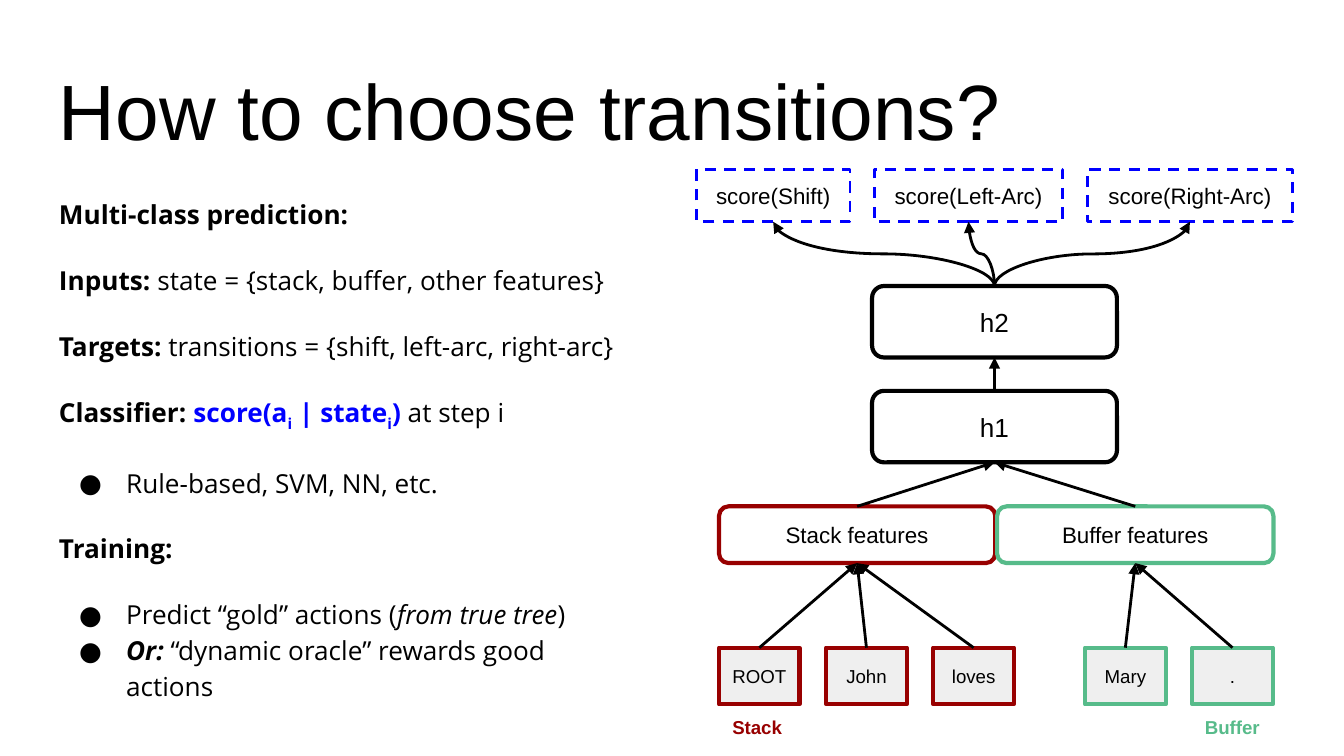
from dataclasses import dataclass
from typing import NamedTuple

from lxml.etree import SubElement
from pptx import Presentation
from pptx.dml.color import RGBColor
from pptx.enum.dml import MSO_LINE
from pptx.enum.shapes import MSO_CONNECTOR as Connector, MSO_SHAPE as Shape
from pptx.enum.text import MSO_ANCHOR as Anchor, PP_ALIGN as Align
from pptx.oxml.ns import qn
from pptx.util import Pt

BLACK = RGBColor(0x00, 0x00, 0x00)
BLUE = RGBColor(0x00, 0x00, 0xFF)
RED = RGBColor(0x98, 0x00, 0x00)
GREEN = RGBColor(0x57, 0xBB, 0x8A)
GRAY = RGBColor(0xEF, 0xEF, 0xEF)

HEADING_FONT = "Arial"
BODY_FONT = "Open Sans"
MARGIN = 7.2


class Point(NamedTuple):
    x: float
    y: float


@dataclass(frozen=True)
class Box:
    text: str
    left: float
    top: float
    width: float
    height: float
    color: RGBColor
    size: float
    rounded: bool = False
    dashed: bool = False
    fill: RGBColor | None = None

    @property
    def top_center(self) -> Point:
        return Point(self.left + self.width / 2, self.top)

    @property
    def bottom_center(self) -> Point:
        return Point(self.left + self.width / 2, self.top + self.height)


@dataclass(frozen=True)
class Run:
    text: str
    bold: bool = False
    italic: bool = False
    subscript: bool = False
    color: RGBColor = BLACK


@dataclass(frozen=True)
class Line:
    runs: tuple[Run, ...]
    space_before: float = 16
    bullet: bool = False


def token(text: str, left: float, color: RGBColor) -> Box:
    return Box(text, left, 347, 43.2, 30.4, color, 10, fill=GRAY)


def features(text: str, left: float, color: RGBColor) -> Box:
    return Box(text, left, 271.3, 148, 30.4, color, 12, rounded=True)


def hidden_layer(text: str, top: float) -> Box:
    return Box(text, 467.2, top, 131.2, 38.3, BLACK, 14, rounded=True)


def score(action: str, left: float, width: float) -> Box:
    return Box(f"score({action})", left, 90.8, width, 28, BLUE, 12, dashed=True)


LEFT, RIGHT, PITCH = 385.2, 638.7, 57.4
STACK = [token(word, LEFT + i * PITCH, RED) for i, word in enumerate(("ROOT", "John", "loves"))]
BUFFER = [token(word, RIGHT - i * PITCH, GREEN) for i, word in enumerate((".", "Mary"))]
STACK_FEATURES = features("Stack features", LEFT, RED)
BUFFER_FEATURES = features("Buffer features", 534.2, GREEN)
H1 = hidden_layer("h1", 209.4)
H2 = hidden_layer("h2", 153.2)
SCORES = [score("Shift", 373.1, 82.3), score("Left-Arc", 468.4, 101),
          score("Right-Arc", 582.5, 110)]

BODY = [
    Line((Run("Multi-class prediction:", bold=True),), space_before=0),
    Line((Run("Inputs:", bold=True), Run(" state = {stack, buffer, other features}"))),
    Line((Run("Targets:", bold=True), Run(" transitions = {shift, left-arc, right-arc}"))),
    Line((
        Run("Classifier: ", bold=True),
        Run("score(a", bold=True, color=BLUE),
        Run("i", bold=True, subscript=True, color=BLUE),
        Run(" | state", bold=True, color=BLUE),
        Run("i", bold=True, subscript=True, color=BLUE),
        Run(")", bold=True, color=BLUE),
        Run(" at step i"),
    )),
    Line((Run("Rule-based, SVM, NN, etc."),), bullet=True),
    Line((Run("Training:", bold=True),)),
    Line((Run("Predict “gold” actions ("), Run("from true tree", italic=True), Run(")")),
         bullet=True),
    Line((Run("Or: ", bold=True, italic=True), Run("“dynamic oracle” rewards good actions")),
         space_before=0, bullet=True),
]


def prepare_frame(frame, anchor: Anchor) -> None:
    frame.word_wrap = True
    frame.vertical_anchor = anchor
    frame.margin_left = frame.margin_right = Pt(MARGIN)
    frame.margin_top = frame.margin_bottom = Pt(MARGIN)


def set_text(frame, text: str, size: float, color: RGBColor, align: Align,
             bold: bool = False) -> None:
    paragraph = frame.paragraphs[0]
    paragraph.text = text
    paragraph.alignment = align
    font = paragraph.font
    font.name, font.size, font.bold = HEADING_FONT, Pt(size), bold
    font.color.rgb = color


def add_frame(slide, left: float, top: float, width: float, height: float,
              anchor: Anchor = Anchor.TOP):
    frame = slide.shapes.add_textbox(Pt(left), Pt(top), Pt(width), Pt(height)).text_frame
    prepare_frame(frame, anchor)
    return frame


def add_bullet(paragraph) -> None:
    properties = paragraph._p.get_or_add_pPr()
    properties.set("marL", str(Pt(36)))
    properties.set("indent", str(Pt(-25.2)))
    color = SubElement(properties, qn("a:buClr"))
    SubElement(color, qn("a:srgbClr"), val=str(BLACK))
    SubElement(properties, qn("a:buFont"), typeface=BODY_FONT)
    SubElement(properties, qn("a:buChar"), char="●")


def add_body(slide) -> None:
    frame = add_frame(slide, 24.5, 96.6, 314.8, 264)
    for index, line in enumerate(BODY):
        paragraph = frame.add_paragraph() if index else frame.paragraphs[0]
        paragraph.line_spacing = 1.15
        paragraph.space_before = Pt(line.space_before)
        if line.bullet:
            add_bullet(paragraph)
        paragraph.font.name, paragraph.font.size = BODY_FONT, Pt(14)
        for part in line.runs:
            run = paragraph.add_run()
            run.text = part.text
            run.font.bold, run.font.italic = part.bold, part.italic
            run.font.color.rgb = part.color
            if part.subscript:
                run.font._element.set("baseline", "-25000")


def add_box(slide, box: Box) -> None:
    kind = Shape.ROUNDED_RECTANGLE if box.rounded else Shape.RECTANGLE
    shape = slide.shapes.add_shape(kind, Pt(box.left), Pt(box.top), Pt(box.width), Pt(box.height))
    shape.shadow.inherit = False
    if box.fill is None:
        shape.fill.background()
    else:
        shape.fill.solid()
        shape.fill.fore_color.rgb = box.fill
    shape.line.color.rgb = box.color
    shape.line.width = Pt(1.5 if box.dashed else 2.25)
    if box.dashed:
        shape.line.dash_style = MSO_LINE.DASH
    prepare_frame(shape.text_frame, Anchor.MIDDLE)
    set_text(shape.text_frame, box.text, box.size, BLACK, Align.CENTER)


def add_arrow(slide, start: Point, end: Point, kind: Connector = Connector.STRAIGHT):
    arrow = slide.shapes.add_connector(kind, Pt(start.x), Pt(start.y), Pt(end.x), Pt(end.y))
    arrow.line.color.rgb = BLACK
    arrow.line.width = Pt(1.5)
    SubElement(arrow.line._get_or_add_ln(), qn("a:tailEnd"), type="triangle")
    SubElement(arrow._element.spPr, qn("a:effectLst"))
    return arrow


def add_rising_curve(slide, start: Point, end: Point) -> None:
    """Draw an S-curve that leaves and arrives vertically, as a quarter-turned connector."""
    center = Point((start.x + end.x) / 2, (start.y + end.y) / 2)
    half_width, half_height = (start.y - end.y) / 2, abs(end.x - start.x) / 2
    side = 1 if end.x < start.x else -1
    arrow = add_arrow(slide, Point(center.x + side * half_width, center.y - half_height),
                      Point(center.x - side * half_width, center.y + half_height),
                      Connector.CURVE)
    arrow._element.spPr.find(qn("a:xfrm")).set("rot", str((90 if side > 0 else 270) * 60000))


def main() -> None:
    presentation = Presentation()
    presentation.slide_width, presentation.slide_height = Pt(720), Pt(405)
    slide = presentation.slides.add_slide(presentation.slide_layouts[6])

    title = add_frame(slide, 24.5, 25.2, 671, 65.5, Anchor.BOTTOM)
    set_text(title, "How to choose transitions?", 42, BLACK, Align.LEFT)
    add_body(slide)

    for box in (*STACK, *BUFFER, STACK_FEATURES, BUFFER_FEATURES, H1, H2, *SCORES):
        add_box(slide, box)
    for text, left, color, align in (("Stack", LEFT, RED, Align.LEFT),
                                     ("Buffer", RIGHT - PITCH, GREEN, Align.RIGHT)):
        set_text(add_frame(slide, left, 377.4, 100.6, 28), text, 10, color, align, bold=True)

    for tokens, feature in ((STACK, STACK_FEATURES), (BUFFER, BUFFER_FEATURES)):
        for word in tokens:
            add_arrow(slide, word.top_center, feature.bottom_center)
        add_arrow(slide, feature.top_center, H1.bottom_center)
    add_rising_curve(slide, H1.top_center, H2.bottom_center)
    for target in SCORES:
        add_rising_curve(slide, H2.top_center, target.bottom_center)

    presentation.save("out.pptx")


if __name__ == "__main__":
    main()
